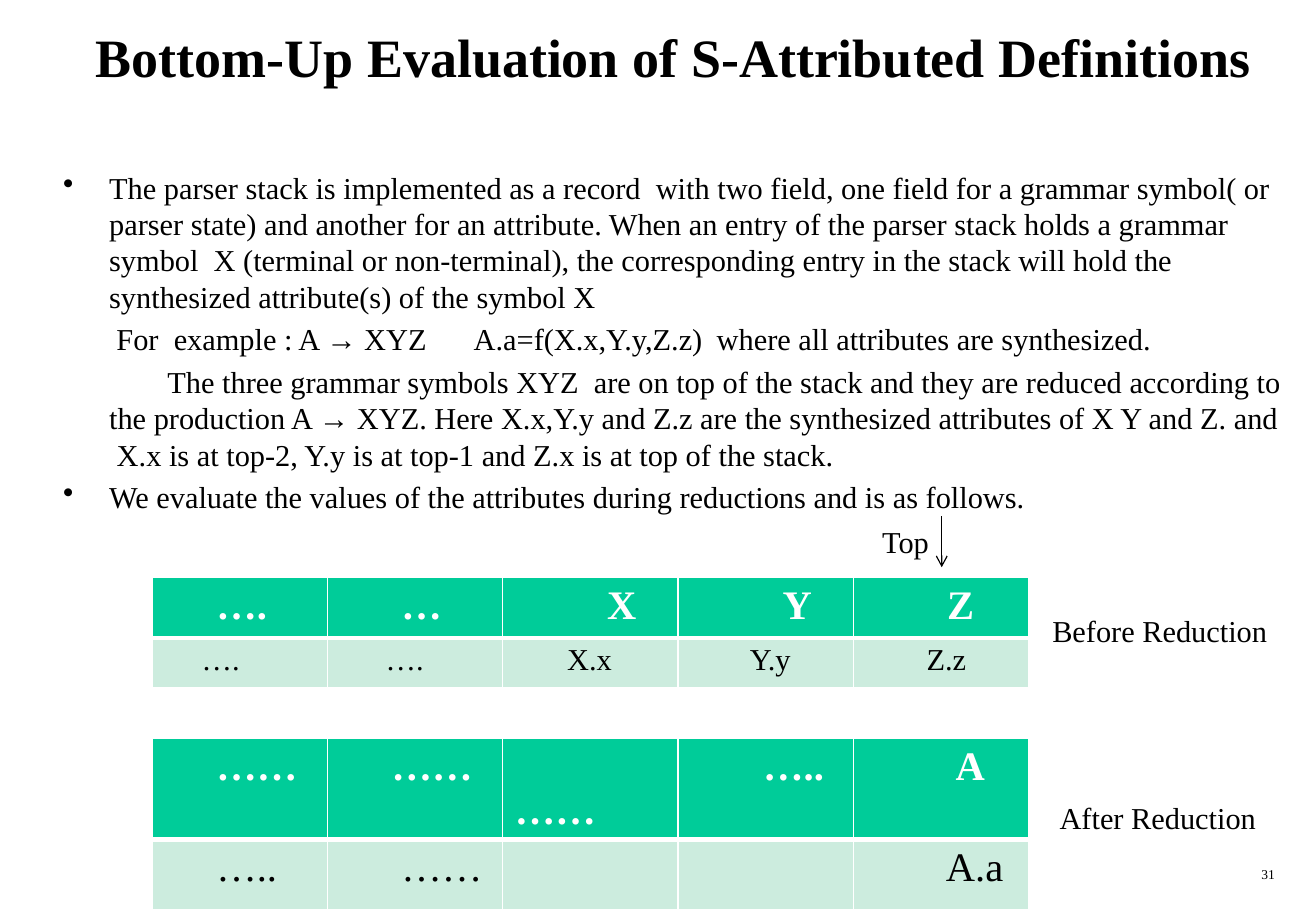
"""Builds the slide on bottom-up evaluation of S-attributed definitions."""
from lxml import etree
from pptx import Presentation
from pptx import util as u
from pptx.dml.color import RGBColor
from pptx.enum import shapes, text
from pptx.oxml.ns import qn

TITLE = "Bottom-Up Evaluation of S-Attributed Definitions"
BODY = [
    {"bullet": True, "first": -0.38, "text":
     "The parser stack is implemented as a record  with two field, one field for a grammar symbol( or "
     "parser state) and another for an attribute. When an entry of the parser stack holds a grammar "
     "symbol  X (terminal or non-terminal), the corresponding entry in the stack will hold the "
     "synthesized attribute(s) of the symbol X"},
    {"first": 0.06, "tabs": (3.41, 5.55), "text":
     "For  example : A → XYZ\tA.a=f(X.x,Y.y,Z.z)\twhere all attributes are synthesized."},
    {"first": 0.48, "text":
     "The three grammar symbols XYZ  are on top of the stack and they are reduced according to the "
     "production A → XYZ. Here X.x,Y.y and Z.z are the synthesized attributes of X Y and Z. and  X.x "
     "is at top-2, Y.y is at top-1 and Z.x is at top of the stack."},
    {"bullet": True, "first": -0.38, "text":
     "We evaluate the values of the attributes during reductions and is as follows."},
]
LABELS = [("Top", 7.26, 4.46), ("Before Reduction", 8.66, 5.19), ("After Reduction", 8.72, 6.73)]
STACKS = [
    {"top": 4.75, "heights": (0.5, 0.41), "sizes": ("head", "body"), "rows": [
        [("….", 0.53), ("…", 0.61), ("X", 0.86), ("Y", 0.86), ("Z", 0.77)],
        [("….", 0.41), ("….", 0.48), ("X.x", 0.53), ("Y.y", 0.59), ("Z.z", 0.6)]]},
    {"top": 6.08, "heights": (0.83, 0.58), "sizes": ("head", "head"), "rows": [
        [("……", 0.53), ("……", 0.53), ("……", 0.1), ("…..", 0.7), ("A", 0.84)],
        [("…..", 0.53), ("……", 0.61), ("", 0.1), ("", 0.1), ("A.a", 0.76)]]},
]
LOW_CELL = (1, 0, 2)
THEME = {
    "font": "Times New Roman",
    "size": {"title": 32, "head": 24, "body": 18, "number": 8},
    "ink": "000000", "paper": "FFFFFF", "header": "00CC99", "band": "CCECDE",
}
HANGING = 0.38


def color(name):
    return RGBColor.from_string(THEME[name])


def add_run(paragraph, words, size, ink="ink", bold=False):
    run = paragraph.add_run()
    run.text = words
    run.font.name = THEME["font"]
    run.font.size = u.Pt(THEME["size"][size])
    run.font.bold = bold
    run.font.color.rgb = color(ink)


def add_box(slide, left, top, width, height, anchor=text.MSO_ANCHOR.TOP):
    box = slide.shapes.add_textbox(*map(u.Inches, (left, top, width, height)))
    frame = box.text_frame
    frame.word_wrap = True
    frame.vertical_anchor = anchor
    return frame


def format_paragraph(paragraph, first, bullet=False, tabs=()):
    paragraph.space_before = u.Pt(3.6)
    properties = paragraph._p.get_or_add_pPr()
    properties.set("marL", str(u.Inches(HANGING)))
    properties.set("indent", str(u.Inches(first)))
    if bullet:
        etree.SubElement(properties, qn("a:buChar")).set("char", "•")
    else:
        etree.SubElement(properties, qn("a:buNone"))
    if tabs:
        stops = etree.SubElement(properties, qn("a:tabLst"))
        for position in tabs:
            stop = etree.SubElement(stops, qn("a:tab"))
            stop.set("pos", str(u.Inches(position)))
            stop.set("algn", "l")


def add_body(slide):
    frame = add_box(slide, 0.42, 1.34, 10.25, 3.0)
    for index, entry in enumerate(BODY):
        paragraph = frame.paragraphs[0] if index == 0 else frame.add_paragraph()
        format_paragraph(paragraph, entry["first"], entry.get("bullet", False), entry.get("tabs", ()))
        add_run(paragraph, entry["text"], "body")


def add_borders(cell, top, bottom):
    properties = cell._tc.get_or_add_tcPr()
    for index, (side, width) in enumerate((("L", 1), ("R", 1), ("T", top), ("B", bottom))):
        line = etree.Element(qn(f"a:ln{side}"))
        line.set("w", str(u.Pt(width)))
        fill = etree.SubElement(line, qn("a:solidFill"))
        etree.SubElement(fill, qn("a:srgbClr")).set("val", THEME["paper"])
        properties.insert(index, line)


def add_stack(slide, number, stack):
    rows = stack["rows"]
    column_count = len(rows[0])
    table = slide.shapes.add_table(
        len(rows), column_count, u.Inches(1.25), u.Inches(stack["top"]),
        u.Inches(7.22), u.Inches(sum(stack["heights"]))).table
    for r, row in enumerate(rows):
        table.rows[r].height = u.Inches(stack["heights"][r])
        is_header = r == 0
        for c, (words, left) in enumerate(row):
            cell = table.cell(r, c)
            cell.margin_left = u.Inches(left)
            cell.margin_right = u.Inches(0.02)
            cell.fill.solid()
            cell.fill.fore_color.rgb = color("header" if is_header else "band")
            if (number, r, c) == LOW_CELL:
                cell.vertical_anchor = text.MSO_ANCHOR.BOTTOM
            add_borders(cell, 1 if is_header else 3, 3 if is_header else 1)
            if words:
                add_run(cell.text_frame.paragraphs[0], words, stack["sizes"][r],
                        "paper" if is_header else "ink", is_header)


def add_top_arrow(slide):
    arrow = slide.shapes.add_connector(
        shapes.MSO_CONNECTOR.STRAIGHT, *map(u.Inches, (7.75, 4.25, 7.75, 4.67)))
    arrow.line.color.rgb = color("ink")
    arrow.line.width = u.Pt(0.75)
    etree.SubElement(arrow.line._get_or_add_ln(), qn("a:tailEnd")).set("type", "arrow")
    etree.SubElement(arrow._element.spPr, qn("a:effectLst"))


def main():
    presentation = Presentation()
    presentation.slide_width = u.Inches(10.83)
    presentation.slide_height = u.Inches(7.5)
    slide = presentation.slides.add_slide(presentation.slide_layouts[6])

    title = add_box(slide, 0.42, 0.17, 10.25, 0.58, text.MSO_ANCHOR.MIDDLE).paragraphs[0]
    title.alignment = text.PP_ALIGN.CENTER
    add_run(title, TITLE, "title", bold=True)
    add_body(slide)
    for words, left, middle in LABELS:
        frame = add_box(slide, left, middle - 0.2, 2.0, 0.4, text.MSO_ANCHOR.MIDDLE)
        frame.margin_left = 0
        add_run(frame.paragraphs[0], words, "body")
    for number, stack in enumerate(STACKS):
        add_stack(slide, number, stack)
    add_top_arrow(slide)
    page = add_box(slide, 8.33, 7.08, 2.26, 0.25).paragraphs[0]
    page.alignment = text.PP_ALIGN.RIGHT
    add_run(page, "31", "number")
    presentation.save("out.pptx")


if __name__ == "__main__":
    main()
